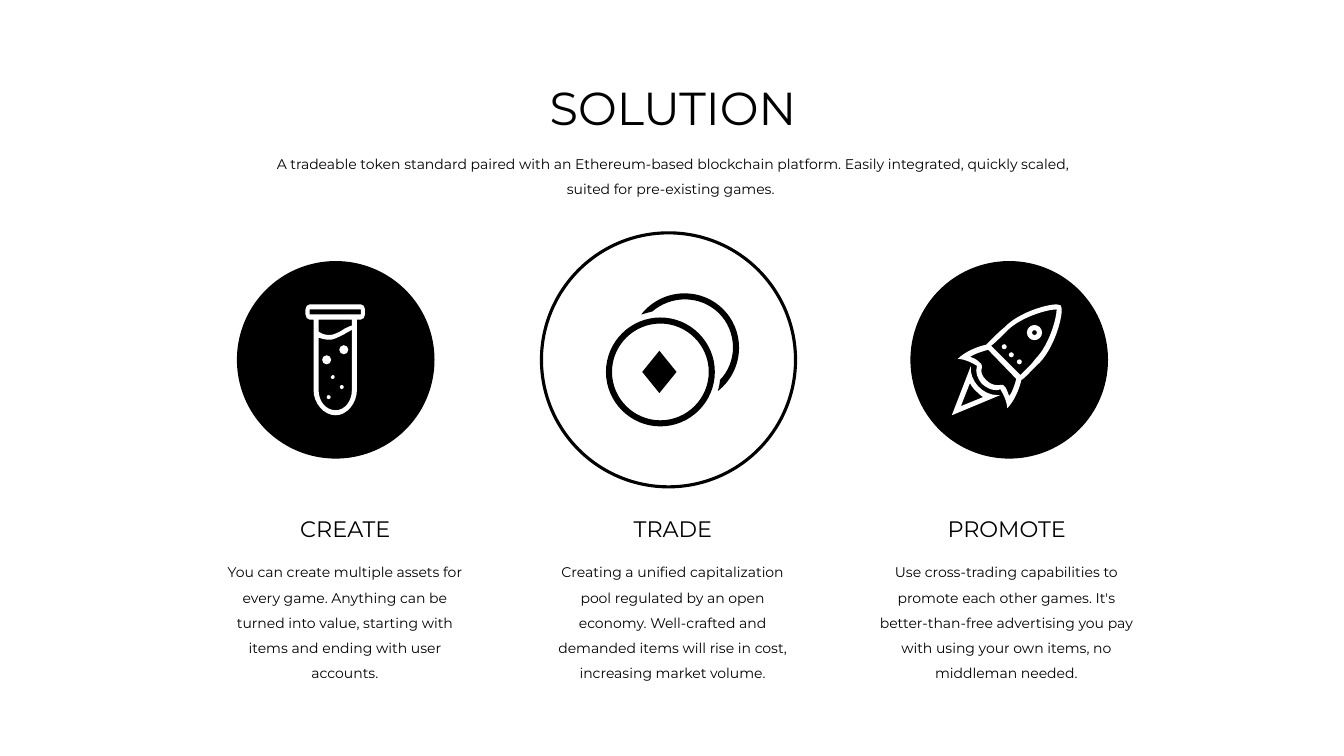
from dataclasses import dataclass

import pptx
import pptx.dml.color
import pptx.enum.shapes
import pptx.enum.text
import pptx.oxml
import pptx.oxml.ns
import pptx.util

Inches = pptx.util.Inches


@dataclass(frozen=True)
class Theme:
    font: str = "Montserrat"
    black: str = "000000"
    white: str = "FFFFFF"
    title: float = 33
    heading: float = 16
    body: float = 10
    ring: float = 2.25


@dataclass(frozen=True)
class Column:
    left: float
    heading: str
    body: str


@dataclass(frozen=True)
class Badge:
    x: float
    radius: float
    fill: str
    line: str | None = None


@dataclass(frozen=True)
class Outline:
    start: tuple
    steps: tuple


@dataclass(frozen=True)
class Icon:
    fill: str
    outlines: tuple


def circle(x: float, y: float, r: float) -> Outline:
    k = 0.55 * r
    return Outline((x - r, y), (
        (x - r, y - k, x - k, y - r, x, y - r), (x + k, y - r, x + r, y - k, x + r, y),
        (x + r, y + k, x + k, y + r, x, y + r), (x - k, y + r, x - r, y + k, x - r, y),
    ))


THEME = Theme()

COLUMNS = (
    Column(2.11, "CREATE", "You can create multiple assets for every game. Anything can be turned "
           "into value, starting with items and ending with user accounts."),
    Column(5.36, "TRADE", "Creating a unified capitalization pool regulated by an open economy. "
           "Well-crafted and demanded items will rise in cost, increasing market volume."),
    Column(8.67, "PROMOTE", "Use cross-trading capabilities to promote each other games. It's "
           "better-than-free advertising you pay with using your own items, no middleman needed."),
)

BADGES = (
    Badge(6.63, 1.26, THEME.white, THEME.black),
    Badge(3.33, 0.98, THEME.black),
    Badge(10.01, 0.98, THEME.black),
)

COINS = Icon(THEME.black, (
    Outline((6.54, 3.48), ((6.71, 3.69), (6.54, 3.9), (6.37, 3.69))),
    circle(6.55, 3.69, 0.48),
    circle(6.55, 3.69, 0.54),
    Outline((6.79, 2.91), (
        (6.62, 2.91, 6.46, 2.99, 6.36, 3.12), (6.4, 3.11, 6.43, 3.1, 6.47, 3.09),
        (6.55, 3.02, 6.67, 2.97, 6.79, 2.97), (7.06, 2.97, 7.27, 3.18, 7.27, 3.45),
        (7.27, 3.57, 7.22, 3.69, 7.14, 3.77), (7.14, 3.81, 7.13, 3.84, 7.12, 3.88),
        (7.25, 3.78, 7.33, 3.62, 7.33, 3.45), (7.33, 3.15, 7.09, 2.91, 6.79, 2.91),
    )),
))

ROCKET = Icon(THEME.white, (
    circle(9.96, 3.44, 0.025), circle(10.03, 3.52, 0.025), circle(10.11, 3.59, 0.025),
    circle(10.26, 3.3, 0.025), circle(10.26, 3.3, 0.075),
    Outline((9.53, 4.03), (
        (9.62, 3.8), (9.63, 3.82, 9.64, 3.84, 9.66, 3.86),
        (9.69, 3.89, 9.72, 3.92, 9.75, 3.94),
    )),
    Outline((9.63, 3.63), (
        (9.44, 4.12), (9.92, 3.92), (9.91, 3.92, 9.9, 3.92, 9.89, 3.92),
        (9.75, 3.92, 9.61, 3.78, 9.63, 3.63),
    )),
    Outline((10.27, 3.56), (
        (10.26, 3.57, 10.25, 3.59, 10.23, 3.61), (10.2, 3.64, 10.15, 3.69, 10.12, 3.72),
        (9.83, 3.43), (9.86, 3.41, 9.91, 3.36, 9.95, 3.32),
        (9.96, 3.31, 9.98, 3.29, 9.99, 3.28), (10.12, 3.15, 10.38, 3.07, 10.48, 3.07),
        (10.48, 3.15, 10.41, 3.42, 10.27, 3.56),
    )),
    Outline((10.08, 3.76), (
        (10.06, 3.83, 10.04, 3.89, 10.01, 3.93), (10.0, 3.91, 9.99, 3.87, 9.97, 3.84),
        (9.96, 3.82, 9.94, 3.81, 9.91, 3.82), (9.9, 3.82, 9.89, 3.82, 9.88, 3.82),
        (9.85, 3.82, 9.81, 3.8, 9.78, 3.77), (9.74, 3.73, 9.72, 3.69, 9.74, 3.64),
        (9.74, 3.62, 9.73, 3.6, 9.71, 3.59), (9.68, 3.56, 9.65, 3.55, 9.62, 3.54),
        (9.67, 3.51, 9.73, 3.49, 9.8, 3.47),
    )),
    Outline((10.52, 3.03), (
        (10.51, 3.03, 10.5, 3.02, 10.48, 3.02), (10.38, 3.02, 10.1, 3.1, 9.96, 3.25),
        (9.92, 3.28, 9.81, 3.39, 9.78, 3.42), (9.69, 3.44, 9.57, 3.49, 9.5, 3.56),
        (9.5, 3.56, 9.58, 3.56, 9.69, 3.63), (9.67, 3.69, 9.69, 3.75, 9.74, 3.81),
        (9.79, 3.85, 9.83, 3.87, 9.88, 3.87), (9.9, 3.87, 9.91, 3.87, 9.92, 3.86),
        (9.99, 3.97, 9.99, 4.05, 9.99, 4.05), (10.06, 3.98, 10.11, 3.86, 10.13, 3.77),
        (10.17, 3.75, 10.27, 3.63, 10.31, 3.6), (10.48, 3.42, 10.56, 3.07, 10.52, 3.03),
    )),
))

TUBE = Icon(THEME.white, (
    circle(3.41, 3.47, 0.045), circle(3.24, 3.57, 0.045),
    circle(3.3, 3.74, 0.02), circle(3.39, 3.84, 0.02), circle(3.26, 3.94, 0.02),
    Outline((3.58, 3.12), ((3.07, 3.12), (3.07, 3.07), (3.58, 3.07))),
    Outline((3.49, 3.23), (
        (3.47, 3.23, 3.45, 3.25, 3.42, 3.26), (3.39, 3.28, 3.36, 3.3, 3.3, 3.32),
        (3.25, 3.33, 3.2, 3.32, 3.16, 3.29), (3.16, 3.17), (3.49, 3.17),
    )),
    Outline((3.49, 3.87), (
        (3.49, 3.98, 3.42, 4.07, 3.33, 4.07), (3.23, 4.07, 3.16, 3.98, 3.16, 3.87),
        (3.16, 3.35), (3.19, 3.36, 3.22, 3.37, 3.26, 3.37),
        (3.28, 3.37, 3.3, 3.37, 3.32, 3.36), (3.37, 3.34, 3.41, 3.32, 3.44, 3.3),
        (3.46, 3.29, 3.48, 3.28, 3.49, 3.27),
    )),
    Outline((3.58, 3.02), (
        (3.07, 3.02), (3.05, 3.02, 3.03, 3.04, 3.03, 3.07), (3.03, 3.12),
        (3.03, 3.15, 3.05, 3.17, 3.07, 3.17), (3.11, 3.17), (3.11, 3.87),
        (3.11, 4.0, 3.21, 4.12, 3.33, 4.12), (3.44, 4.12, 3.54, 4.0, 3.54, 3.87),
        (3.54, 3.17), (3.58, 3.17), (3.6, 3.17, 3.62, 3.15, 3.62, 3.12), (3.62, 3.07),
        (3.62, 3.04, 3.6, 3.02, 3.58, 3.02),
    )),
))


def color(value: str) -> pptx.dml.color.RGBColor:
    return pptx.dml.color.RGBColor.from_string(value)


def apply(target, formats: dict) -> None:
    for name, value in formats.items():
        setattr(target, name, value)


def paint(shape, fill: str, line: str | None = None) -> None:
    shape.shadow.inherit = False
    shape.fill.solid()
    shape.fill.fore_color.rgb = color(fill)
    if line is None:
        shape.line.fill.background()
    else:
        shape.line.color.rgb = color(line)
        shape.line.width = pptx.util.Pt(THEME.ring)


def add_badge(page, badge: Badge) -> None:
    side = Inches(2 * badge.radius)
    shape = page.shapes.add_shape(
        pptx.enum.shapes.MSO_SHAPE.OVAL,
        Inches(badge.x - badge.radius), Inches(3.57 - badge.radius), side, side)
    paint(shape, badge.fill, badge.line)


def add_icon(page, icon: Icon) -> None:
    builder = page.shapes.build_freeform(*map(Inches, icon.outlines[0].start))
    for index, outline in enumerate(icon.outlines):
        if index:
            builder.move_to(*map(Inches, outline.start))
        lengths = [Inches(value) for step in outline.steps for value in step]
        builder.add_line_segments(list(zip(lengths[::2], lengths[1::2])), close=True)
    shape = builder.convert_to_shape()
    bend_lines(shape, [step for outline in icon.outlines for step in outline.steps])
    paint(shape, icon.fill)


def bend_lines(shape, steps: list) -> None:
    lines = iter(list(shape.element.iter(pptx.oxml.ns.qn("a:lnTo"))))
    for step in steps:
        first = next(lines)
        if len(step) == 6:
            first.tag = pptx.oxml.ns.qn("a:cubicBezTo")
            for line in (next(lines), next(lines)):
                first.append(line[0])
                line.getparent().remove(line)


def add_text(page, text: str, left: float, top: float, width: float, height: float,
             size: float, spacing: float = 1.0) -> None:
    box = page.shapes.add_textbox(Inches(left), Inches(top), Inches(width), Inches(height))
    apply(box.text_frame, {
        "word_wrap": True,
        "margin_left": Inches(0.05), "margin_right": Inches(0.05),
        "margin_top": Inches(0.03), "margin_bottom": Inches(0.02),
    })
    para = box.text_frame.paragraphs[0]
    apply(para, {"alignment": pptx.enum.text.PP_ALIGN.CENTER, "line_spacing": spacing})
    span = para.add_run()
    span.text = text
    apply(span.font, {"name": THEME.font, "size": pptx.util.Pt(size)})
    span.font.color.rgb = color(THEME.black)


def main() -> None:
    deck = pptx.Presentation()
    apply(deck, {"slide_width": Inches(13.33), "slide_height": Inches(7.5)})
    page = deck.slides.add_slide(deck.slide_layouts[6])
    for badge in BADGES:
        add_badge(page, badge)
    add_text(page, "SOLUTION", 2.91, 0.76, 7.53, 0.61, THEME.title)
    add_text(page, "A tradeable token standard paired with an Ethereum-based blockchain platform. "
             "Easily integrated, quickly scaled, suited for pre-existing games. ",
             2.66, 1.43, 8.02, 0.5, THEME.body, 1.5)
    for column in COLUMNS:
        add_text(page, column.body, column.left, 5.48, 2.62, 1.25, THEME.body, 1.5)
        add_text(page, column.heading, column.left - 0.05, 5.08, 2.73, 0.32, THEME.heading)
    for icon in (COINS, ROCKET, TUBE):
        add_icon(page, icon)
    deck.save("out.pptx")


if __name__ == "__main__":
    main()
